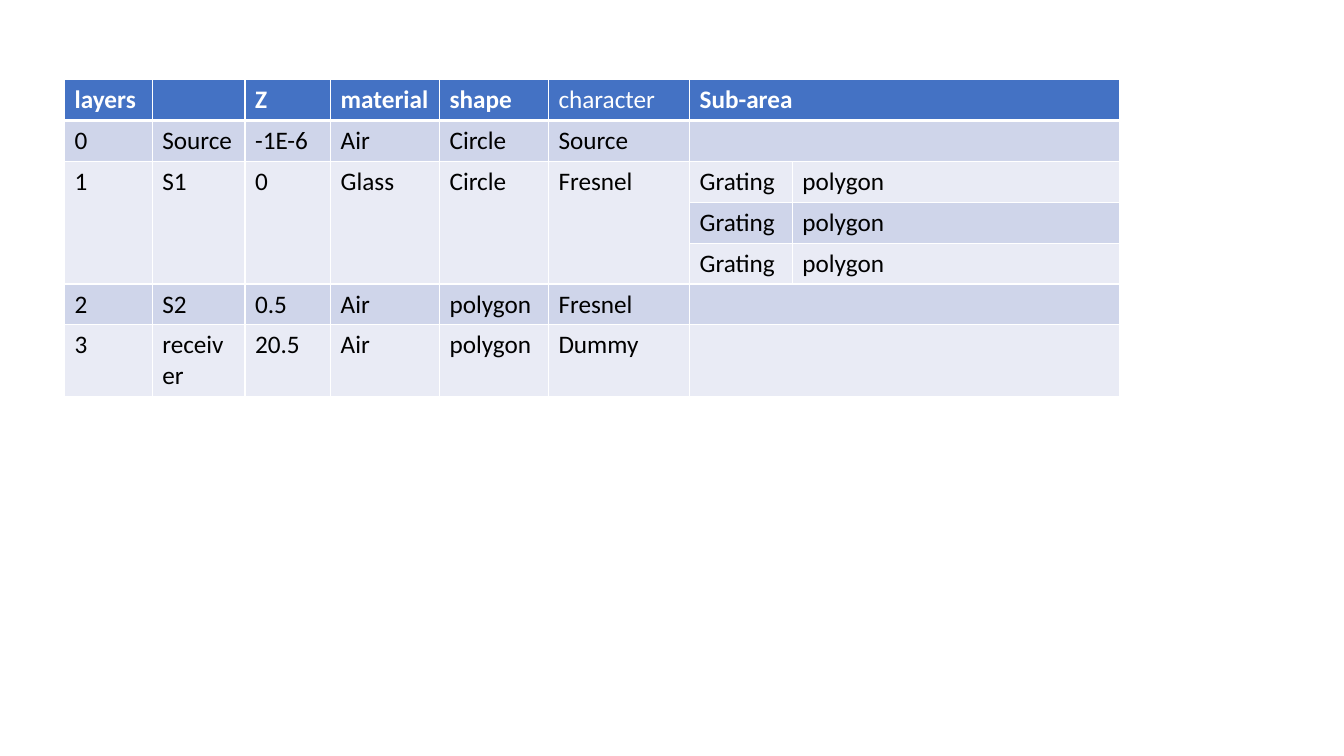
"""Build a slide with a table of optical layers and their sub-areas."""
from lxml import etree
from pptx import Presentation
from pptx.dml.color import RGBColor
from pptx.oxml.ns import qn
from pptx.util import Inches, Pt

WHITE = RGBColor(0xFF, 0xFF, 0xFF)
BLACK = RGBColor(0x00, 0x00, 0x00)
HEADER_BLUE = RGBColor(0x44, 0x72, 0xC4)
BANDS = (RGBColor(0xE9, 0xEB, 0xF5), RGBColor(0xCF, 0xD5, 0xEA))
BLANK_LAYOUT = 6

COLUMN_WIDTHS = (0.87, 0.92, 0.85, 1.08, 1.08, 1.4, 1.02, 3.25)
ROW_HEIGHTS = (0.4,) * 6 + (0.7,)
LAYER_ROWS = (
    ("layers", "", "Z", "material", "shape", "character", "Sub-area"),
    ("0", "Source", "-1E-6", "Air", "Circle", "Source"),
    ("1", "S1", "0", "Glass", "Circle", "Fresnel", "Grating", "polygon"),
    ("",) * 6 + ("Grating", "polygon"),
    ("",) * 6 + ("Grating", "polygon"),
    ("2", "S2", "0.5", "Air", "polygon", "Fresnel"),
    ("3", "receiver", "20.5", "Air", "polygon", "Dummy"),
)
MERGES = [((row, 6), (row, 7)) for row in (0, 1, 5, 6)]
MERGES += [((2, column), (4, column)) for column in range(6)]
PLAIN_HEADERS = ("character",)


class SlideBuilder:
    """Holds the table style and the current slide."""

    font_name = "Calibri"
    font_size = Pt(18)
    thin_line = Pt(1)
    header_line = Pt(3)

    def __init__(self, page):
        self.page = page

    def add_table(self, left, top, widths, heights, rows, merges):
        """Add a banded table with a header row and merged cells."""
        table = self.page.shapes.add_table(
            len(heights), len(widths), Inches(left), Inches(top),
            Inches(sum(widths)), Inches(sum(heights))).table
        for column, width in zip(table.columns, widths):
            column.width = Inches(width)
        for row, height in zip(table.rows, heights):
            row.height = Inches(height)
        for start, end in merges:
            table.cell(*start).merge(table.cell(*end))
        for row_index, row in enumerate(table.rows):
            for cell in row.cells:
                self.style_cell(cell, row_index)
            for cell, text in zip(row.cells, rows[row_index]):
                if text:
                    self.add_text(cell, text, row_index == 0)

    def style_cell(self, cell, row_index):
        """Give a cell its white borders and its header or band fill."""
        top = self.header_line if row_index == 1 else self.thin_line
        bottom = self.header_line if row_index == 0 else self.thin_line
        sides = {"L": self.thin_line, "R": self.thin_line, "T": top, "B": bottom}
        properties = cell._tc.get_or_add_tcPr()
        for side, width in sides.items():
            line = etree.SubElement(properties, qn(f"a:ln{side}"), w=str(int(width)))
            solid = etree.SubElement(line, qn("a:solidFill"))
            etree.SubElement(solid, qn("a:srgbClr"), val=str(WHITE))
        cell.fill.solid()
        cell.fill.fore_color.rgb = BANDS[row_index % 2] if row_index else HEADER_BLUE

    def add_text(self, cell, text, is_header):
        """Write one run of text into a cell."""
        span = cell.text_frame.paragraphs[0].add_run()
        span.text = text
        span.font.name = self.font_name
        span.font.size = self.font_size
        span.font.bold = is_header and text not in PLAIN_HEADERS
        span.font.color.rgb = WHITE if is_header else BLACK


deck = Presentation()
deck.slide_width = Inches(13.33)
deck.slide_height = Inches(7.5)
builder = SlideBuilder(deck.slides.add_slide(deck.slide_layouts[BLANK_LAYOUT]))
builder.add_table(0.64, 0.79, COLUMN_WIDTHS, ROW_HEIGHTS, LAYER_ROWS, MERGES)
deck.save("out.pptx")
